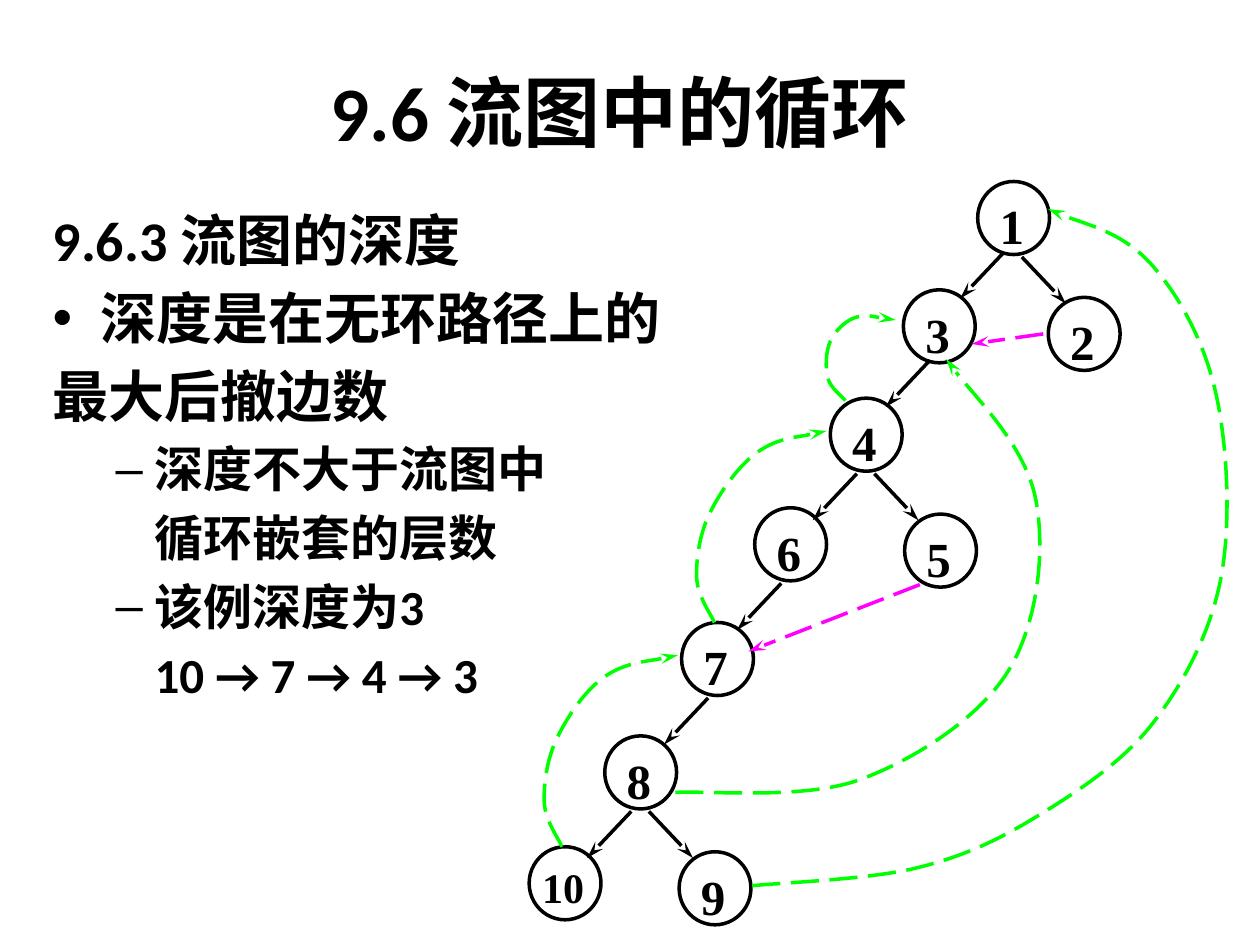
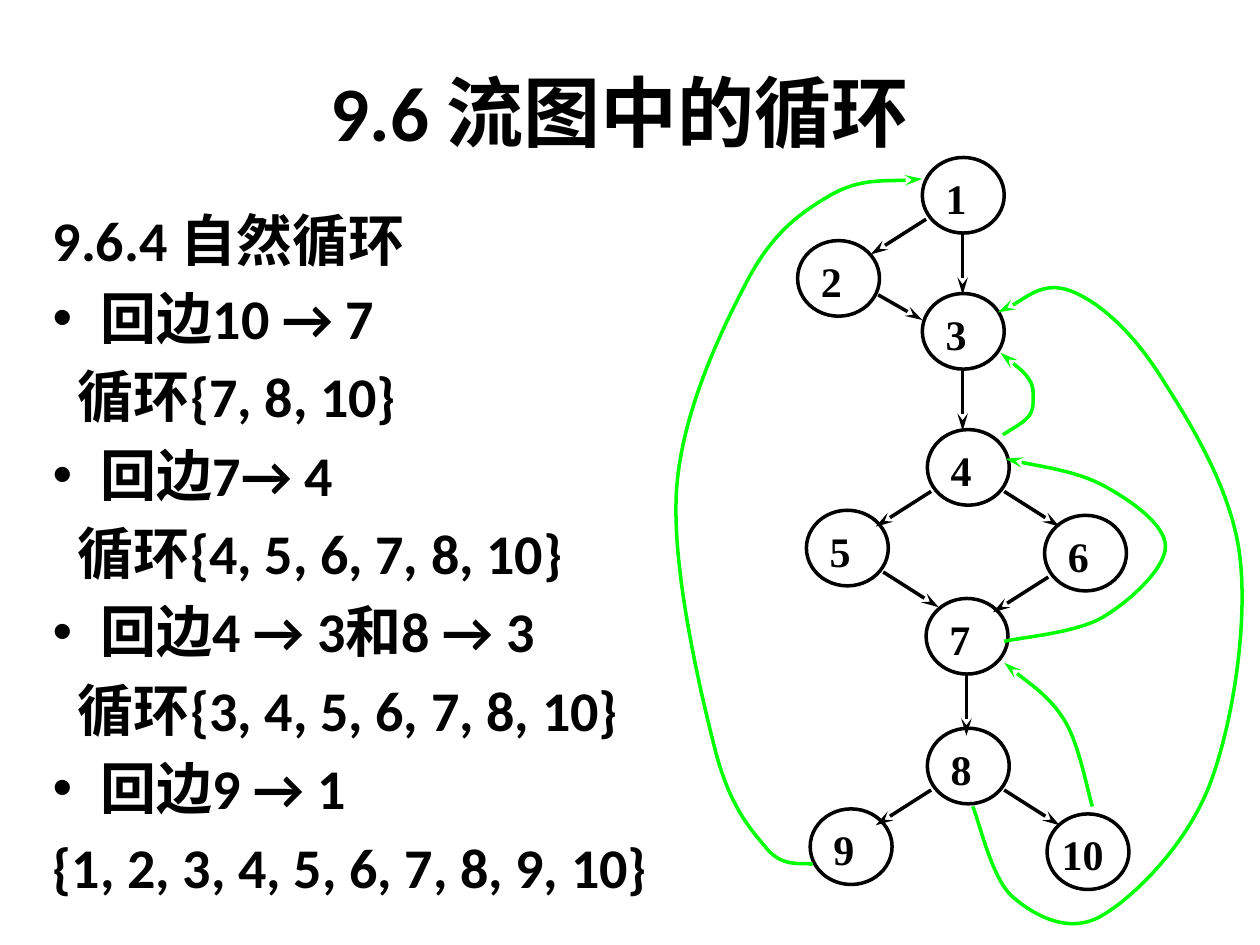
"""Build two slides on loops in flow graphs, each with notes beside a graph."""
from lxml.etree import SubElement
from pptx import Presentation
from pptx.dml.color import RGBColor
from pptx.enum.dml import MSO_LINE
from pptx.enum.shapes import MSO_CONNECTOR, MSO_SHAPE
from pptx.enum.text import MSO_ANCHOR, PP_ALIGN
from pptx.oxml.ns import qn
from pptx.util import Pt

PX = 9144
BLACK, GREEN, MAGENTA = "000000", "00FF00", "FF00FF"
LATIN, CHINESE, DIGITS = "Calibri", "Noto Sans CJK SC", "Times New Roman"
TITLE = "9.6 流图中的循环"
LEVELS = {
    "plain": {"size": 32, "left": 0, "hang": 0, "bullet": ""},
    "point": {"size": 32, "left": 38, "hang": 38, "bullet": "•"},
    "loop": {"size": 32, "left": 20, "hang": 0, "bullet": ""},
    "dash": {"size": 28, "left": 81, "hang": 31, "bullet": "–"},
    "under": {"size": 28, "left": 81, "hang": 0, "bullet": ""},
}
LEFT_CURL = [(-2, -29), (-16, -64), (-6, -115), (32, -164)]

DEPTH = {
    "notes": [
        ("plain", "9.6.3 流图的深度"),
        ("point", "深度是在无环路径上的"),
        ("plain", "最大后撤边数"),
        ("dash", "深度不大于流图中"),
        ("under", "循环嵌套的层数"),
        ("dash", "该例深度为3"),
        ("under", "10 → 7 → 4 → 3"),
    ],
    "node_size": (57, 58),
    "digit_size": 28,
    "nodes": {1: (776, 144), 2: (832, 236), 3: (717, 230), 4: (659, 316),
              5: (718, 408), 6: (599, 403), 7: (541, 494), 8: (480, 584),
              9: (539, 676), 10: (420, 672)},
    "tree_edges": [
        {"leave": (7, 27), "step": (35, 37), "pairs": [(1, 3), (3, 4)]},
        {"leave": (7, 31), "step": (35, 37),
         "pairs": [(1, 2), (4, 5), (4, 6), (6, 7), (7, 8), (8, 9), (8, 10)]},
    ],
    "cross_edges": [
        {"pair": (5, 7), "route": [(-16, 27)], "arrive": (25, -6)},
        {"pair": (2, 3), "route": [(-32, 0)], "arrive": (26, 14)},
    ],
    "back_dash": MSO_LINE.LONG_DASH,
    "back_edges": [
        {"pair": (10, 7), "route": LEFT_CURL, "arrive": (-31, -3)},
        {"pair": (7, 4), "route": LEFT_CURL, "arrive": (-31, -3)},
        {"pair": (4, 3), "arrive": (-34, -5),
         "route": [(-16, -27), (-30, -45), (-28, -74), (-8, -93)]},
        {"pair": (8, 3), "arrive": (6, 26),
         "route": [(28, 16), (174, 6), (292, -80), (314, -217)]},
        {"pair": (9, 1), "arrive": (28, -7),
         "route": [(30, -2), (160, -16), (256, -57), (348, -131),
                   (402, -246), (398, -393), (346, -496)]},
    ],
}

NATURAL = {
    "notes": [
        ("plain", "9.6.4 自然循环"),
        ("point", "回边10 → 7"),
        ("loop", "循环{7, 8, 10}"),
        ("point", "回边7→ 4"),
        ("loop", "循环{4, 5, 6, 7, 8, 10}"),
        ("point", "回边4 → 3和8 → 3"),
        ("loop", "循环{3, 4, 5, 6, 7, 8, 10}"),
        ("point", "回边9 → 1"),
        ("plain", "{1, 2, 3, 4, 5, 6, 7, 8, 9, 10}"),
    ],
    "node_size": (65, 60),
    "digit_size": 24,
    "nodes": {1: (732, 125), 2: (633, 191), 3: (732, 233), 4: (736, 341),
              5: (640, 405), 6: (829, 409), 7: (735, 475), 8: (736, 578),
              9: (643, 642), 10: (831, 646)},
    "tree_edges": [
        {"leave": (0, 30), "step": (0, 49), "pairs": [(1, 3), (3, 4), (7, 8)]},
        {"leave": (32, 13), "step": (35, 20), "pairs": [(2, 3)]},
        {"leave": (29, 19), "step": (44, 28),
         "pairs": [(1, 2), (4, 5), (4, 6), (5, 7), (6, 7), (8, 9), (8, 10)]},
    ],
    "cross_edges": [],
    "back_dash": MSO_LINE.SOLID,
    "back_edges": [
        {"pair": (10, 7), "arrive": (30, 21), "route": [(4, -36), (-18, -104)]},
        {"pair": (7, 4), "arrive": (30, -7),
         "route": [(30, 4), (108, -15), (158, -71), (110, -119)]},
        {"pair": (4, 3), "arrive": (30, 17),
         "route": [(28, -26), (48, -40), (52, -55), (48, -71)]},
        {"pair": (8, 3), "arrive": (28, -15),
         "route": [(4, 32), (36, 104), (106, 119), (192, 15),
                   (216, -167), (152, -311), (82, -377)]},
        {"pair": (9, 1), "arrive": (-32, -13),
         "route": [(-30, 14), (-66, 2), (-108, -79), (-138, -284),
                   (-82, -449), (-16, -517)]},
    ],
}


def write(para, text, size, latin, values):
    """Add one bold run and set the paragraph's format values."""
    span = para.add_run()
    span.text = text
    for name, value in {"size": Pt(size), "bold": True, "name": latin}.items():
        setattr(span.font, name, value)
    span.font.color.rgb = RGBColor.from_string(BLACK)
    SubElement(span._r.get_or_add_rPr(), qn("a:ea"), typeface=CHINESE)
    for name, value in values.items():
        setattr(para, name, value)


def make_arrow(shape, color, dash):
    """Give a line its colour, dash and stealth head, without a shadow."""
    shape.line.color.rgb = RGBColor.from_string(color)
    for name, value in {"width": Pt(2), "dash_style": dash}.items():
        setattr(shape.line, name, value)
    SubElement(shape.line._get_or_add_ln(), qn("a:tailEnd"), type="stealth", len="lg")
    SubElement(shape._element.spPr, qn("a:effectLst"))


deck = Presentation()
deck.slide_width, deck.slide_height = 1000 * PX, 750 * PX

for topic in (DEPTH, NATURAL):
    page = deck.slides.add_slide(deck.slide_layouts[6])

    title = page.shapes.add_textbox(42 * PX, 25 * PX, 900 * PX, 125 * PX).text_frame
    for name, value in {"word_wrap": True, "vertical_anchor": MSO_ANCHOR.MIDDLE}.items():
        setattr(title, name, value)
    write(title.paragraphs[0], TITLE, 44, LATIN, {"alignment": PP_ALIGN.CENTER})

    body = page.shapes.add_textbox(32 * PX, 157 * PX, 937 * PX, 580 * PX).text_frame
    body.word_wrap = True
    for index, (level, text) in enumerate(topic["notes"]):
        para = body.add_paragraph() if index else body.paragraphs[0]
        look = LEVELS[level]
        props = para._p.get_or_add_pPr()
        props.set("marL", str(look["left"] * PX))
        props.set("indent", str(-look["hang"] * PX))
        if look["bullet"]:
            SubElement(props, qn("a:buFont"), typeface="Arial")
            SubElement(props, qn("a:buChar"), char=look["bullet"])
        spacing = {"line_spacing": Pt(look["size"] * 1.22)}
        if index:
            spacing["space_before"] = Pt(look["size"] * 0.18)
        write(para, text, look["size"], LATIN, spacing)

    width, height = topic["node_size"]
    centres = {}
    for number, (left, top) in topic["nodes"].items():
        centres[number] = (left + width // 2, top + height // 2)
        node = page.shapes.add_shape(MSO_SHAPE.OVAL, left * PX, top * PX,
                                     width * PX, height * PX)
        node.shadow.inherit = False
        node.fill.background()
        node.line.color.rgb = RGBColor.from_string(BLACK)
        node.line.width = Pt(2)
        side = 2 if number == 10 else 9
        frame = {"margin_left": side * PX, "margin_right": side * PX,
                 "margin_top": 3 * PX, "margin_bottom": 5 * PX,
                 "word_wrap": True, "vertical_anchor": MSO_ANCHOR.TOP}
        for name, value in frame.items():
            setattr(node.text_frame, name, value)
        size = 24 if number == 10 else topic["digit_size"]
        write(node.text_frame.paragraphs[0], str(number), size, DIGITS,
              {"alignment": PP_ALIGN.LEFT})

    for group in topic["tree_edges"]:
        (leave_x, leave_y), (step_x, step_y) = group["leave"], group["step"]
        for parent, child in group["pairs"]:
            x, y = centres[parent]
            side = 1 if centres[child][0] > x else -1
            start_x, start_y = x + side * leave_x, y + leave_y
            ends = (start_x, start_y, start_x + side * step_x, start_y + step_y)
            arrow = page.shapes.add_connector(MSO_CONNECTOR.STRAIGHT,
                                              *[length * PX for length in ends])
            make_arrow(arrow, BLACK, MSO_LINE.SOLID)

    for edge in topic["cross_edges"] + topic["back_edges"]:
        (source_x, source_y), (target_x, target_y) = [centres[n] for n in edge["pair"]]
        stops = [((source_x + x) * PX, (source_y + y) * PX) for x, y in edge["route"]]
        arrive_x, arrive_y = edge["arrive"]
        stops.append(((target_x + arrive_x) * PX, (target_y + arrive_y) * PX))
        if edge in topic["cross_edges"]:
            arrow = page.shapes.add_connector(MSO_CONNECTOR.STRAIGHT, *stops[0], *stops[1])
            make_arrow(arrow, MAGENTA, MSO_LINE.LONG_DASH)
            continue

        padded = [stops[0], *stops, stops[-1]]
        bends = []
        for before, start, end, after in zip(padded, padded[1:], padded[2:], padded[3:]):
            bends.append([s + (e - b) // 6 for b, s, e in zip(before, start, end)])
            bends.append([e - (a - s) // 6 for s, e, a in zip(start, end, after)])
            bends.append(end)
        outline = page.shapes.build_freeform(*stops[0])
        outline.add_line_segments(bends, close=False)
        curve = outline.convert_to_shape()
        curve.fill.background()
        steps = list(curve._element.iter(qn("a:lnTo")))
        for first in range(0, len(steps), 3):
            bend = SubElement(steps[first].getparent(), qn("a:cubicBezTo"))
            for step in steps[first:first + 3]:
                bend.append(step[0])
                step.getparent().remove(step)
        make_arrow(curve, GREEN, topic["back_dash"])

deck.save("out.pptx")
